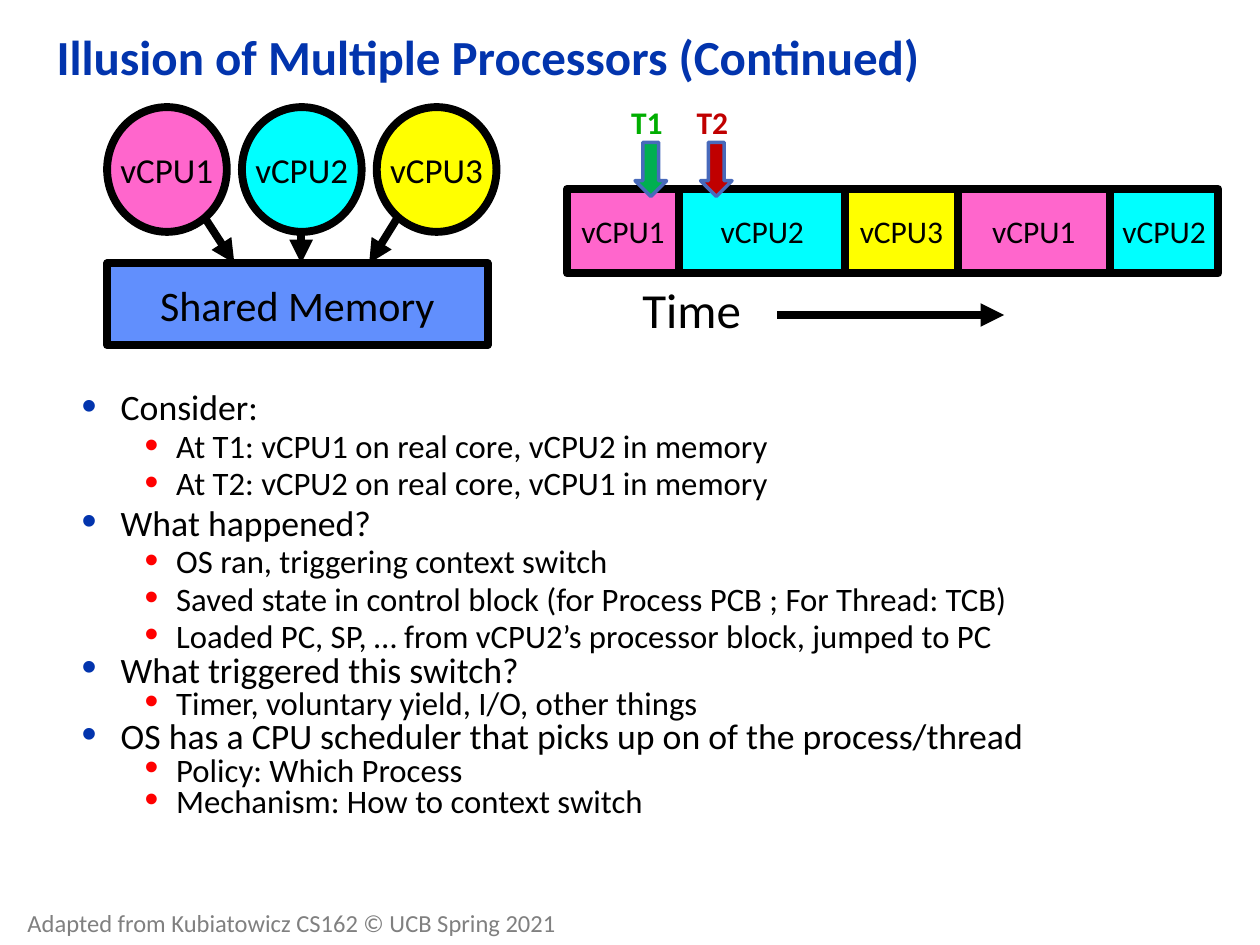
from lxml import etree
from pptx import Presentation
from pptx.dml.color import RGBColor
from pptx.enum.shapes import MSO_CONNECTOR, MSO_SHAPE
from pptx.enum.text import MSO_ANCHOR, MSO_AUTO_SIZE, PP_ALIGN
from pptx.oxml.ns import qn
from pptx.util import Inches, Pt

BLACK = RGBColor(0x00, 0x00, 0x00)
GREY = RGBColor(0x80, 0x80, 0x80)
NAVY = RGBColor(0x02, 0x34, 0xAD)
RED = RGBColor(0xFF, 0x00, 0x00)
PINK = RGBColor(0xFF, 0x66, 0xCC)
CYAN = RGBColor(0x00, 0xFF, 0xFF)
YELLOW = RGBColor(0xFF, 0xFF, 0x00)
BLUE = RGBColor(0x61, 0x8F, 0xFD)
STEEL = RGBColor(0x48, 0x6A, 0xBB)
GREEN = RGBColor(0x00, 0xB0, 0x50)
TEXT_GREEN = RGBColor(0x00, 0xAE, 0x00)
CRIMSON = RGBColor(0xC0, 0x00, 0x00)

OVAL = MSO_SHAPE.OVAL
RECT = MSO_SHAPE.RECTANGLE
DOWN_ARROW = MSO_SHAPE.DOWN_ARROW
STRAIGHT = MSO_CONNECTOR.STRAIGHT
MIDDLE, TOP = MSO_ANCHOR.MIDDLE, MSO_ANCHOR.TOP
NO_FIT = MSO_AUTO_SIZE.NONE
LEFT, CENTER = PP_ALIGN.LEFT, PP_ALIGN.CENTER

CPU_COLORS = {"vCPU1": PINK, "vCPU2": CYAN, "vCPU3": YELLOW}
SCHEDULE = [("vCPU1", 4.5), ("vCPU2", 5.39), ("vCPU3", 6.71),
            ("vCPU1", 7.6), ("vCPU2", 8.81)]
SCHEDULE_END = 9.67
INSTANTS = [("T1", 5.04, GREEN, TEXT_GREEN), ("T2", 5.56, CRIMSON, CRIMSON)]
OUTLINE = [
    (0, 0.7, "Consider:"),
    (1, 0.7, "At T1: vCPU1 on real core, vCPU2 in memory"),
    (1, 0.7, "At T2: vCPU2 on real core, vCPU1 in memory"),
    (0, 0.7, "What happened?"),
    (1, 0.7, "OS ran, triggering context switch"),
    (1, 0.7, "Saved state in control block (for Process PCB ; For Thread: TCB)"),
    (1, 0.7, "Loaded PC, SP, … from vCPU2’s processor block, jumped to PC"),
    (0, 0.6, "What triggered this switch?"),
    (1, 0.6, "Timer, voluntary yield, I/O, other things"),
    (0, 0.6, "OS has a CPU scheduler that picks up on of the process/thread"),
    (1, 0.6, "Policy: Which Process"),
    (1, 0.6, "Mechanism: How to context switch"),
]
LEVELS = [dict(size=20.4, margin=0.31, indent=-0.31, color=NAVY),
          dict(size=18.7, margin=0.75, indent=-0.25, color=RED)]
SPACE_BEFORE = {0.7: 0.3, 0.6: 0.25}


def write(p, text, size=18, color=BLACK, bold=False, align=LEFT, font="Calibri"):
    p.alignment = align
    r = p.add_run()
    r.text = text
    r.font.name = font
    r.font.size = Pt(size)
    r.font.bold = bold
    r.font.color.rgb = color


class Deck:
    """Holds the line style and the current slide, and draws each element."""

    def __init__(self, prs, line_width=4.5):
        self.slide = prs.slides.add_slide(prs.slide_layouts[5])
        self.line_width = line_width

    def title(self, text, x, y, w, h):
        sp = self.slide.shapes.title
        sp.left, sp.top, sp.width, sp.height = map(Inches, (x, y, w, h))
        tf = sp.text_frame
        tf.auto_size = NO_FIT
        tf.vertical_anchor = MIDDLE
        tf.paragraphs[0].line_spacing = 0.9
        write(tf.paragraphs[0], text, size=28, color=NAVY, bold=True)

    def text(self, x, y, w, h, text=None, wrap=False, **fmt):
        tf = self.slide.shapes.add_textbox(*map(Inches, (x, y, w, h))).text_frame
        tf.word_wrap = wrap
        tf.vertical_anchor = TOP
        if text:
            write(tf.paragraphs[0], text, **fmt)
        return tf

    def shape(self, kind, x, y, w, h, fill, line=BLACK, width=None, text=None, size=18):
        sp = self.slide.shapes.add_shape(kind, *map(Inches, (x, y, w, h)))
        sp.shadow.inherit = False
        sp.fill.solid()
        sp.fill.fore_color.rgb = fill
        sp.line.color.rgb = line
        sp.line.width = Pt(width or self.line_width)
        if text:
            tf = sp.text_frame
            tf.word_wrap = False
            tf.vertical_anchor = MIDDLE
            write(tf.paragraphs[0], text, size=size, align=CENTER)

    def arrow(self, x1, y1, x2, y2):
        cxn = self.slide.shapes.add_connector(STRAIGHT, *map(Inches, (x1, y1, x2, y2)))
        cxn.line.color.rgb = BLACK
        cxn.line.width = Pt(self.line_width)
        etree.SubElement(cxn.line._get_or_add_ln(), qn("a:tailEnd"), type="triangle")
        etree.SubElement(cxn._element.spPr, qn("a:effectLst"))

    def bullets(self, x, y, w, h, items):
        tf = self.text(x, y, w, h, wrap=True)
        for i, (level, spacing, text) in enumerate(items):
            p = tf.add_paragraph() if i else tf.paragraphs[0]
            style = LEVELS[level]
            p.level = level
            p.line_spacing = spacing
            p.space_before = Pt(round(style["size"] * SPACE_BEFORE[spacing], 1))
            write(p, text, size=style["size"])
            pPr = p._p.get_or_add_pPr()
            pPr.set("marL", str(Inches(style["margin"])))
            pPr.set("indent", str(Inches(style["indent"])))
            clr = etree.SubElement(pPr, qn("a:buClr"))
            etree.SubElement(clr, qn("a:srgbClr"), val=str(style["color"]))
            etree.SubElement(pPr, qn("a:buSzPct"), val="120000")
            etree.SubElement(pPr, qn("a:buFont"), typeface="Arial")
            etree.SubElement(pPr, qn("a:buChar"), char="•")


def main():
    prs = Presentation()
    prs.slide_width, prs.slide_height = Inches(10), Inches(7.5)
    deck = Deck(prs)
    deck.title("Illusion of Multiple Processors (Continued)", 0.35, 0.04, 8.62, 0.87)
    deck.bullets(0.55, 3.1, 8.98, 3.8, OUTLINE)

    for i, (name, color) in enumerate(CPU_COLORS.items()):
        deck.shape(OVAL, 0.85 + 1.07 * i, 0.85, 0.95, 0.99, color, text=name, size=20)
    deck.shape(RECT, 0.85, 2.09, 3.02, 0.65, BLUE, text="Shared Memory", size=24)
    for x1, y1, x2 in [(1.62, 1.72, 1.86), (3.16, 1.72, 2.93), (2.39, 1.84, 2.39)]:
        deck.arrow(x1, y1, x2, 2.09)

    ends = [x for _, x in SCHEDULE[1:]] + [SCHEDULE_END]
    for (name, x), end in zip(SCHEDULE, ends):
        deck.shape(RECT, x, 1.5, end - x, 0.67, CPU_COLORS[name], text=name)
    deck.text(5, 2.17, 1.12, 0.57, "Time", size=28)
    deck.arrow(6.17, 2.5, 7.97, 2.5)

    for name, x, fill, color in INSTANTS:
        deck.shape(DOWN_ARROW, x, 1.13, 0.25, 0.43, fill, line=STEEL, width=2)
        deck.text(x - 0.13, 0.77, 0.45, 0.4, name, color=color, bold=True)

    deck.text(0.12, 7.16, 4.43, 0.34, "Adapted from Kubiatowicz CS162 © UCB Spring 2021",
              size=14, color=GREY)
    prs.save("out.pptx")


if __name__ == "__main__":
    main()
